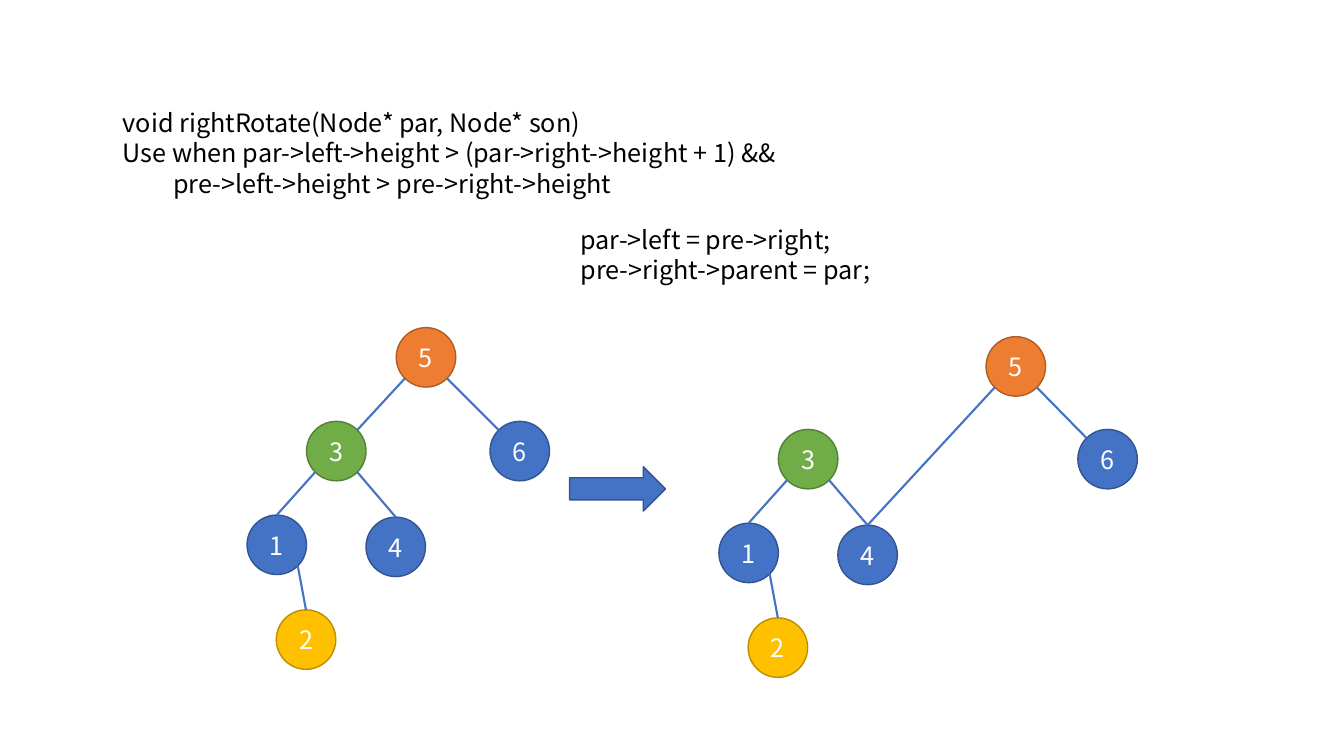
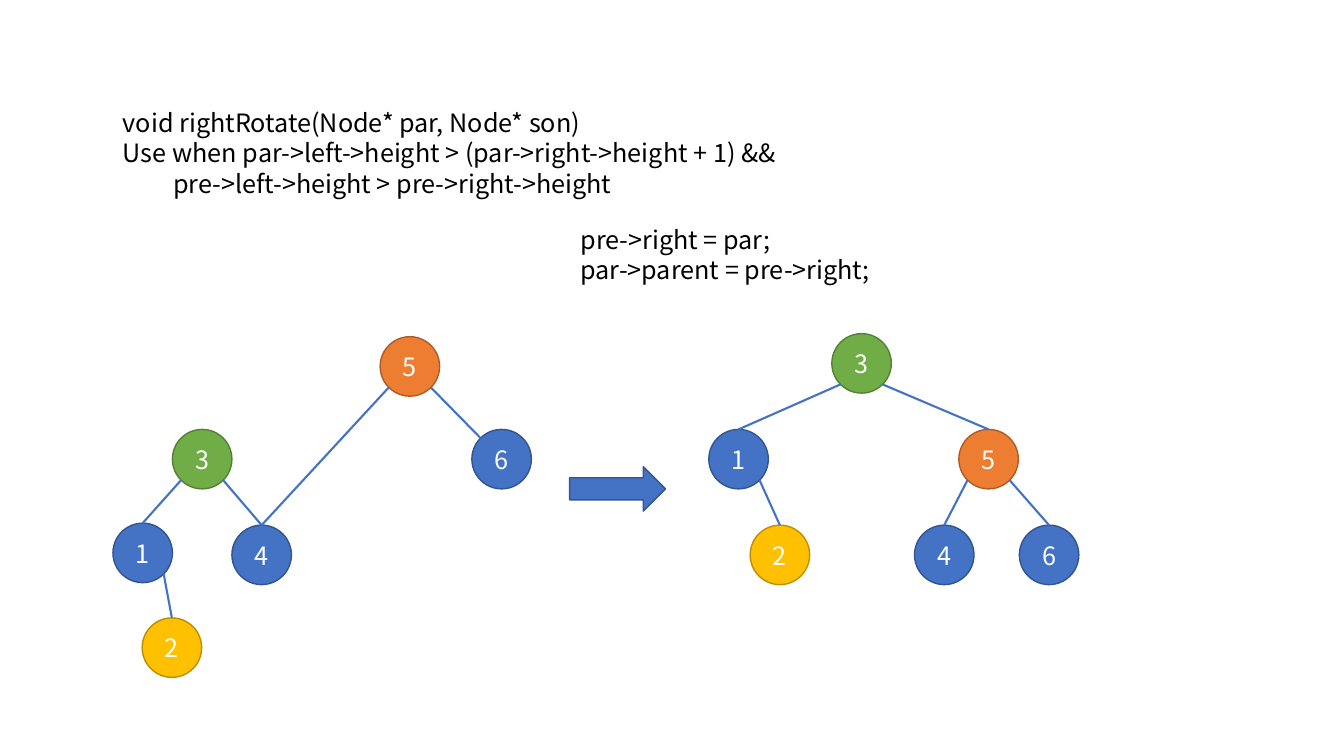
from math import sqrt

from lxml import etree
from pptx import Presentation
from pptx.dml.color import RGBColor
from pptx.enum.shapes import MSO_CONNECTOR, MSO_SHAPE
from pptx.enum.text import MSO_ANCHOR, MSO_AUTO_SIZE, PP_ALIGN
from pptx.oxml.ns import qn
from pptx.util import Inches, Pt

OVAL = MSO_SHAPE.OVAL
RIGHT_ARROW = MSO_SHAPE.RIGHT_ARROW
STRAIGHT = MSO_CONNECTOR.STRAIGHT
MIDDLE = MSO_ANCHOR.MIDDLE
CENTER = PP_ALIGN.CENTER
GROW = MSO_AUTO_SIZE.SHAPE_TO_FIT_TEXT

COLORS = {
    "text": "000000",
    "label": "FFFFFF",
    "blue": "4472C4",
    "blue_line": "325491",
    "orange": "ED7D31",
    "orange_line": "AF5C24",
    "green": "70AD47",
    "green_line": "538035",
    "gold": "FFC000",
    "gold_line": "BD8E00",
}
NODE_COLORS = {"5": "orange", "3": "green", "2": "gold"}
FONT = "Noto Sans CJK SC"
DIAMETER = 0.59

TOP, TOP_LEFT, BOTTOM_LEFT, BOTTOM_RIGHT, TOP_RIGHT = 0, 1, 3, 5, 7
DIAGONAL = sqrt(0.5)
SITE_OFFSETS = {
    TOP: (0, -1),
    TOP_LEFT: (-DIAGONAL, -DIAGONAL),
    BOTTOM_LEFT: (-DIAGONAL, DIAGONAL),
    BOTTOM_RIGHT: (DIAGONAL, DIAGONAL),
    TOP_RIGHT: (DIAGONAL, -DIAGONAL),
}

SUBTREE_NODES = {"3": (0, 0), "1": (-0.59, 0.93), "4": (0.59, 0.95), "2": (-0.3, 1.87)}
SUBTREE_EDGES = [
    ("3", BOTTOM_RIGHT, "4", TOP),
    ("3", BOTTOM_LEFT, "1", TOP),
    ("1", BOTTOM_RIGHT, "2", TOP),
]
START_TREE = (
    {"5": (0.89, -0.93), "6": (1.82, 0), **SUBTREE_NODES},
    [("5", BOTTOM_RIGHT, "6", TOP_LEFT), ("5", BOTTOM_LEFT, "3", TOP_RIGHT), *SUBTREE_EDGES],
)
SHARED_TREE = (
    {"5": (2.06, -0.92), "6": (2.97, 0), **SUBTREE_NODES},
    [("5", BOTTOM_RIGHT, "6", TOP_LEFT), ("5", BOTTOM_LEFT, "4", TOP), *SUBTREE_EDGES],
)
ROTATED_TREE = (
    {
        "5": (1.26, 0.95),
        "6": (1.86, 1.9),
        "3": (0, 0),
        "1": (-1.22, 0.95),
        "4": (0.82, 1.9),
        "2": (-0.81, 1.9),
    },
    [
        ("5", BOTTOM_RIGHT, "6", TOP),
        ("5", BOTTOM_LEFT, "4", TOP),
        ("3", BOTTOM_RIGHT, "5", TOP),
        ("3", BOTTOM_LEFT, "1", TOP),
        ("1", BOTTOM_RIGHT, "2", TOP),
    ],
)

RULE_LINES = [
    ("void rightRotate(Node* par, Node* son)", 0),
    ("Use when par->left->height > (par->right->height + 1) &&", 0),
    ("pre->left->height > pre->right->height", 0.5),
]
STEPS = [
    (
        ["par->left = pre->right;", "pre->right->parent = par;"],
        [(START_TREE, 3.04, 4.18), (SHARED_TREE, 7.72, 4.26)],
    ),
    (
        ["pre->right = par;", "par->parent = pre->right;"],
        [(SHARED_TREE, 1.71, 4.26), (ROTATED_TREE, 8.25, 3.31)],
    ),
]


def rgb(name):
    return RGBColor.from_string(COLORS[name])


def style_paragraph(para, color):
    para.font.name = FONT
    para.font.size = Pt(18)
    para.font.color.rgb = rgb(color)
    para.line_spacing = Pt(21.8)


def add_text(slide, lines, left, top, width, height):
    box = slide.shapes.add_textbox(Inches(left), Inches(top), Inches(width), Inches(height))
    frame = box.text_frame
    frame.word_wrap = True
    frame.auto_size = GROW
    for index, (text, indent) in enumerate(lines):
        para = frame.add_paragraph() if index else frame.paragraphs[0]
        para.text = text
        style_paragraph(para, "text")
        if indent:
            para._p.get_or_add_pPr().set("marL", str(Inches(indent)))


def add_filled_shape(shapes, kind, color, left, top, width, height):
    shape = shapes.add_shape(kind, Inches(left), Inches(top), Inches(width), Inches(height))
    shape.shadow.inherit = False
    shape.fill.solid()
    shape.fill.fore_color.rgb = rgb(color)
    shape.line.color.rgb = rgb(color + "_line")
    shape.line.width = Pt(1)
    return shape


def add_node(shapes, label, left, top):
    color = NODE_COLORS.get(label, "blue")
    node = add_filled_shape(shapes, OVAL, color, left, top, DIAMETER, DIAMETER)
    node.text_frame.vertical_anchor = MIDDLE
    para = node.text_frame.paragraphs[0]
    para.text = label
    para.alignment = CENTER
    style_paragraph(para, "label")
    return node


def site_point(node, site):
    across, down = SITE_OFFSETS[site]
    radius = node.width / 2
    return (
        round(node.left + radius * (1 + across)),
        round(node.top + radius * (1 + down)),
    )


def add_edge(shapes, parent, parent_site, child, child_site):
    edge = shapes.add_connector(
        STRAIGHT, *site_point(parent, parent_site), *site_point(child, child_site)
    )
    edge.line.color.rgb = rgb("blue")
    edge.line.width = Pt(1.5)
    etree.SubElement(edge._element.spPr, qn("a:effectLst"))
    links = edge._element.find(".//" + qn("p:cNvCxnSpPr"))
    for tag, node, site in (("a:stCxn", parent, parent_site), ("a:endCxn", child, child_site)):
        etree.SubElement(links, qn(tag), id=str(node.shape_id), idx=str(site))


def add_tree(slide, tree, left, top):
    offsets, edges = tree
    shapes = slide.shapes.add_group_shape().shapes
    nodes = {
        label: add_node(shapes, label, left + across, top + down)
        for label, (across, down) in offsets.items()
    }
    for parent, parent_site, child, child_site in edges:
        add_edge(shapes, nodes[parent], parent_site, nodes[child], child_site)


def add_step(deck, code_lines, trees):
    slide = deck.slides.add_slide(deck.slide_layouts.get_by_name("Blank"))
    add_text(slide, RULE_LINES, 1.12, 1.01, 7.31, 1.01)
    add_text(slide, [(line, 0) for line in code_lines], 5.66, 2.17, 5.22, 0.71)
    add_filled_shape(slide.shapes, RIGHT_ARROW, "blue", 5.65, 4.63, 0.95, 0.44)
    for tree, left, top in trees:
        add_tree(slide, tree, left, top)


def main():
    deck = Presentation()
    deck.slide_width = Inches(13.33)
    deck.slide_height = Inches(7.5)
    for code_lines, trees in STEPS:
        add_step(deck, code_lines, trees)
    deck.save("out.pptx")


if __name__ == "__main__":
    main()
